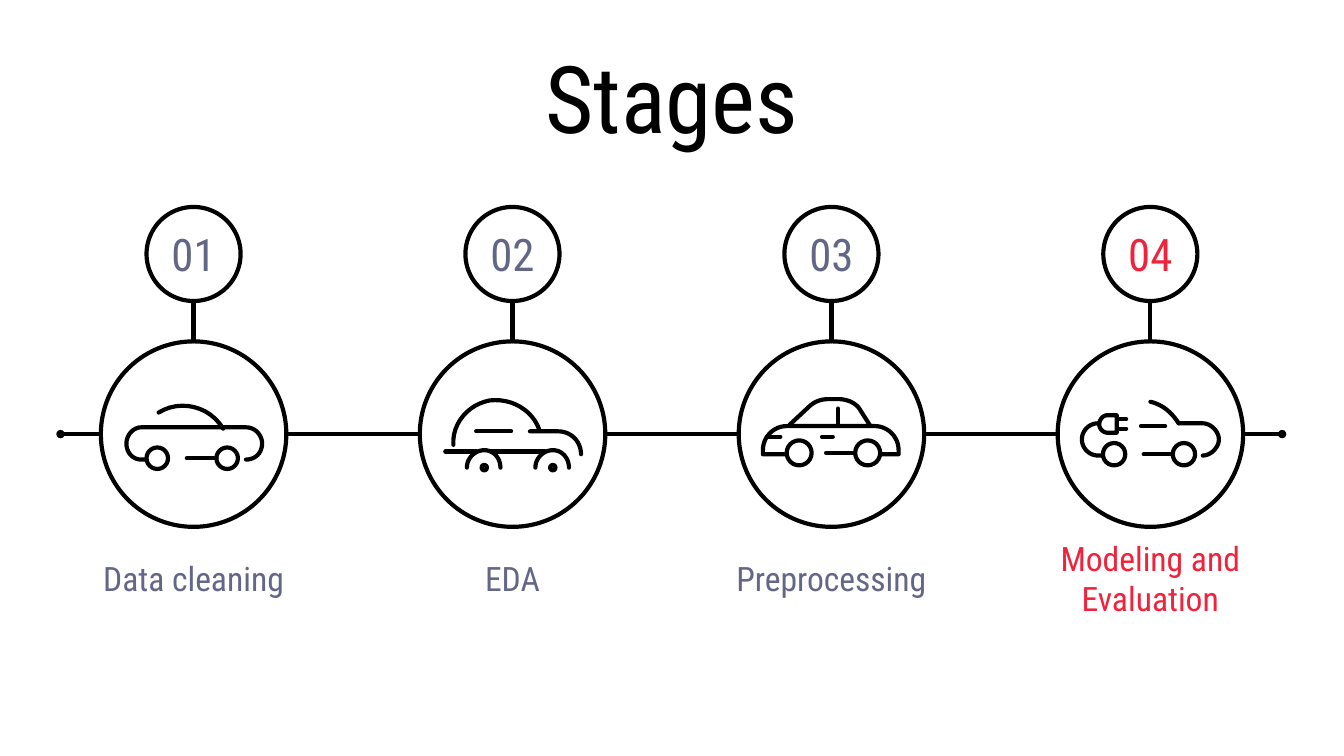
import pptx
import pptx.util
import pptx.dml.color
import pptx.enum.shapes
import pptx.enum.text
import pptx.oxml.ns
import lxml.etree

WIDE = 10
HIGH = WIDE * 9 / 16
UNIT = WIDE / 100
FONT = "Roboto Condensed"
HUES = {"ink": "000000", "paper": "FFFFFF", "slate": "636686", "red": "EF233C", "blue": "006DBC"}
SHAPE = pptx.enum.shapes.MSO_SHAPE

ARCH = "{} 25, {} 18 {} 12 {} 12, {} 12 {} 18 {} 25"
CARS = [
    {
        "strokes": [
            "-26 -16, -10 -26 12 -21 22 -4",
            "39 19, 46 19 51 14 51 7, 51 1 46 -5 39 -5, -39 -5, "
            "-45 -5 -50 1 -50 7, -50 14 -45 19 -39 19, -35 19",
            "17 18, -5 18",
        ],
        "wheels": [(25, 18, 8), (-27, 18, 8)],
    },
    {
        "strokes": [
            *[ARCH.format(*(x + d for d in (-13, -13, -7, 0, 7, 12, 12))) for x in (-21, 30)],
            "-44 8, -45 -8 -33 -22 -17 -25, -1 -27 15 -18 20 -3",
            "-16 13, 24 13",
            "-50 13, -27 13",
            "13 -2, 34 -2, 43 -2 51 5 51 15",
            "-1 -2, -27 -2",
        ],
        "dots": [(-21, 25, 2), (30, 25, 2)],
    },
    {
        "strokes": [
            "-35 15, -51 15, -51 12, -51 2 -43 -6 -33 -6, 32 -6, "
            "42 -6 50 2 50 12, 50 15, 37 15",
            "-31 -7, -17 -20, -13 -24 -8 -26 -2 -26, 5 -26, 12 -26 19 -23 22 -17, 29 -6",
            "5 -19, 5 -7",
            "-7 2, 1 2",
            "-48 2, -38 2",
            "-4 14, 17 14",
        ],
        "wheels": [(-24, 14, 9.3), (27, 14, 9.3)],
    },
    {
        "strokes": [
            "21 -8, 16 -16 9 -22 0 -24",
            "-39 -8, -46 -8 -51 -2 -51 4, -51 10 -46 16 -39 16, -36 16",
            "39 16, 45 16 51 10 51 4, 51 -2 45 -8 39 -8, 21 -8",
            "16 15, -5 15",
            "-32 -1, -25 -1, -25 -14, -32 -14, -35 -14 -38 -11 -38 -7, -38 -4 -35 -1 -32 -1",
            "-18 -11, -24 -11",
            "-18 -4, -24 -4",
            "11 -6, -7 -6",
        ],
        "wheels": [(25, 15, 8.3), (-27, 15, 8.3)],
    },
]
STAGES = [
    ("01", "Data cleaning", "slate"),
    ("02", "EDA", "slate"),
    ("03", "Preprocessing", "slate"),
    ("04", "Modeling and Evaluation", "red"),
]


def grid(n):
    return pptx.util.Inches(n * UNIT)


def hue(name):
    return pptx.dml.color.RGBColor.from_string(HUES[name])


def stroke(item, ends=False):
    item.line.color.rgb = hue("ink")
    item.line.width = pptx.util.Pt(2.25)
    edge = item.line._get_or_add_ln()
    edge.set("cap", "rnd")
    if ends:
        for tag in ("a:headEnd", "a:tailEnd"):
            tip = lxml.etree.SubElement(edge, pptx.oxml.ns.qn(tag))
            for key, value in (("type", "oval"), ("w", "sm"), ("len", "sm")):
                tip.set(key, value)


def write(shape, text, size, color="ink", side=1):
    frame = shape.text_frame
    frame.word_wrap = True
    frame.auto_size = pptx.enum.text.MSO_AUTO_SIZE.NONE
    frame.vertical_anchor = pptx.enum.text.MSO_ANCHOR.MIDDLE
    frame.margin_left = frame.margin_right = grid(side)
    frame.margin_top = frame.margin_bottom = grid(1)
    part = frame.paragraphs[0]
    part.alignment = pptx.enum.text.PP_ALIGN.CENTER
    run = part.add_run()
    run.text = text
    run.font.name = FONT
    run.font.size = pptx.util.Pt(size)
    run.font.color.rgb = hue(color)


def link(slide, x1, y1, x2, y2, ends=False):
    kind = pptx.enum.shapes.MSO_CONNECTOR.STRAIGHT
    line = slide.shapes.add_connector(kind, *map(grid, (x1, y1, x2, y2)))
    stroke(line, ends)
    lxml.etree.SubElement(line._element.spPr, pptx.oxml.ns.qn("a:effectLst"))


def disc(slide, x, y, r, fill="paper"):
    shape = slide.shapes.add_shape(SHAPE.OVAL, *map(grid, (x - r, y - r, 2 * r, 2 * r)))
    shape.shadow.inherit = False
    if fill:
        shape.fill.solid()
        shape.fill.fore_color.rgb = hue(fill)
    else:
        shape.fill.background()
    stroke(shape)
    return shape


def curve(p, q, r, s, steps=12):
    for i in range(1, steps + 1):
        t = i / steps
        u = 1 - t
        yield tuple(
            u**3 * a + 3 * u * u * t * b + 3 * u * t * t * c + t**3 * d
            for a, b, c, d in zip(p, q, r, s)
        )


def trace(plan):
    dots = []
    for bit in plan.split(","):
        nums = [float(n) for n in bit.split()]
        pairs = list(zip(nums[::2], nums[1::2]))
        dots += curve(dots[-1], *pairs) if len(pairs) == 3 else pairs
    return dots


def car(slide, x, y, parts):
    for plan in parts["strokes"]:
        dots = [(x + a / 10, y + b / 10) for a, b in trace(plan)]
        if len(dots) == 2:
            link(slide, *dots[0], *dots[1])
            continue
        dots = [(grid(a), grid(b)) for a, b in dots]
        pen = slide.shapes.build_freeform(*dots[0])
        pen.add_line_segments(dots[1:], close=dots[0] == dots[-1])
        shape = pen.convert_to_shape()
        shape.shadow.inherit = False
        shape.fill.background()
        stroke(shape)
    for kind, fill in (("wheels", None), ("dots", "blue")):
        for a, b, r in parts.get(kind, []):
            disc(slide, x + a / 10, y + b / 10, r / 10, fill)


def stage(slide, box, data, parts):
    left, top, wide, high = box
    mark, name, color = data
    mid = left + wide / 2
    badge = disc(slide, mid, top + 3.5, 3.5)
    write(badge, mark, 24, color=color, side=0)
    disc(slide, mid, top + 16.9, 6.9)
    link(slide, mid, top + 7, mid, top + 10)
    label = slide.shapes.add_textbox(*map(grid, (mid - 10, top + high - 3.2, 20, 3.2)))
    write(label, name, 18, color=color)
    car(slide, mid, top + 16.9, parts)


def head(slide, box):
    title = slide.shapes.title
    title.left, title.top, title.width, title.height = map(grid, box)
    write(title, "Stages", 50)


def main():
    deck = pptx.Presentation()
    deck.slide_width = pptx.util.Inches(WIDE)
    deck.slide_height = pptx.util.Inches(HIGH)
    slide = deck.slides.add_slide(deck.slide_layouts[5])
    link(slide, 4.5, 32.3, 95.4, 32.3, ends=True)
    head(slide, (4.5, 4.5, 91, 5.3))
    pitch = 23.73
    edge = (100 - 4 * pitch) / 2
    for i, (data, parts) in enumerate(zip(STAGES, CARS)):
        stage(slide, (edge + i * pitch, 15.4, pitch, 29.2), data, parts)
    deck.save("out.pptx")


if __name__ == "__main__":
    main()
